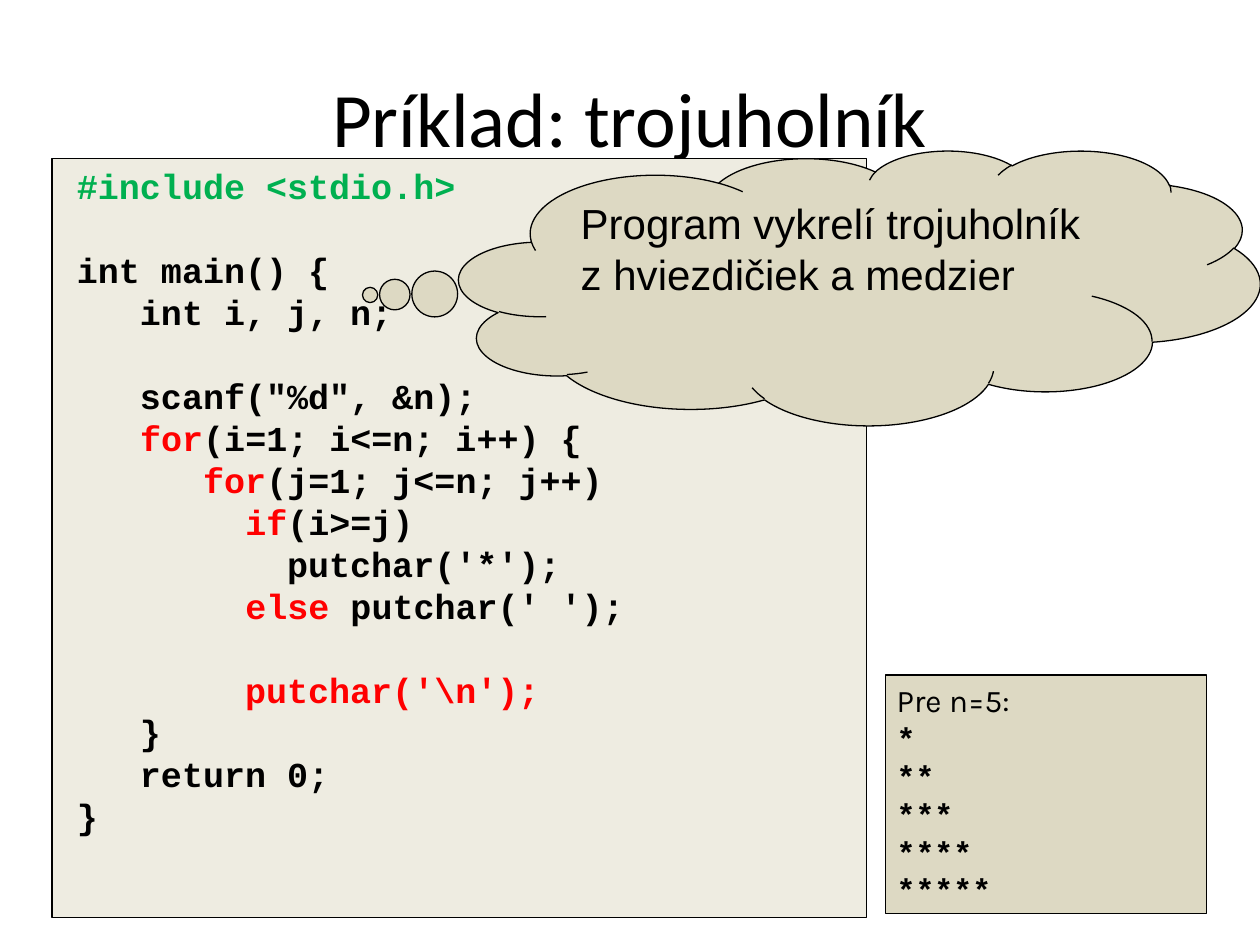
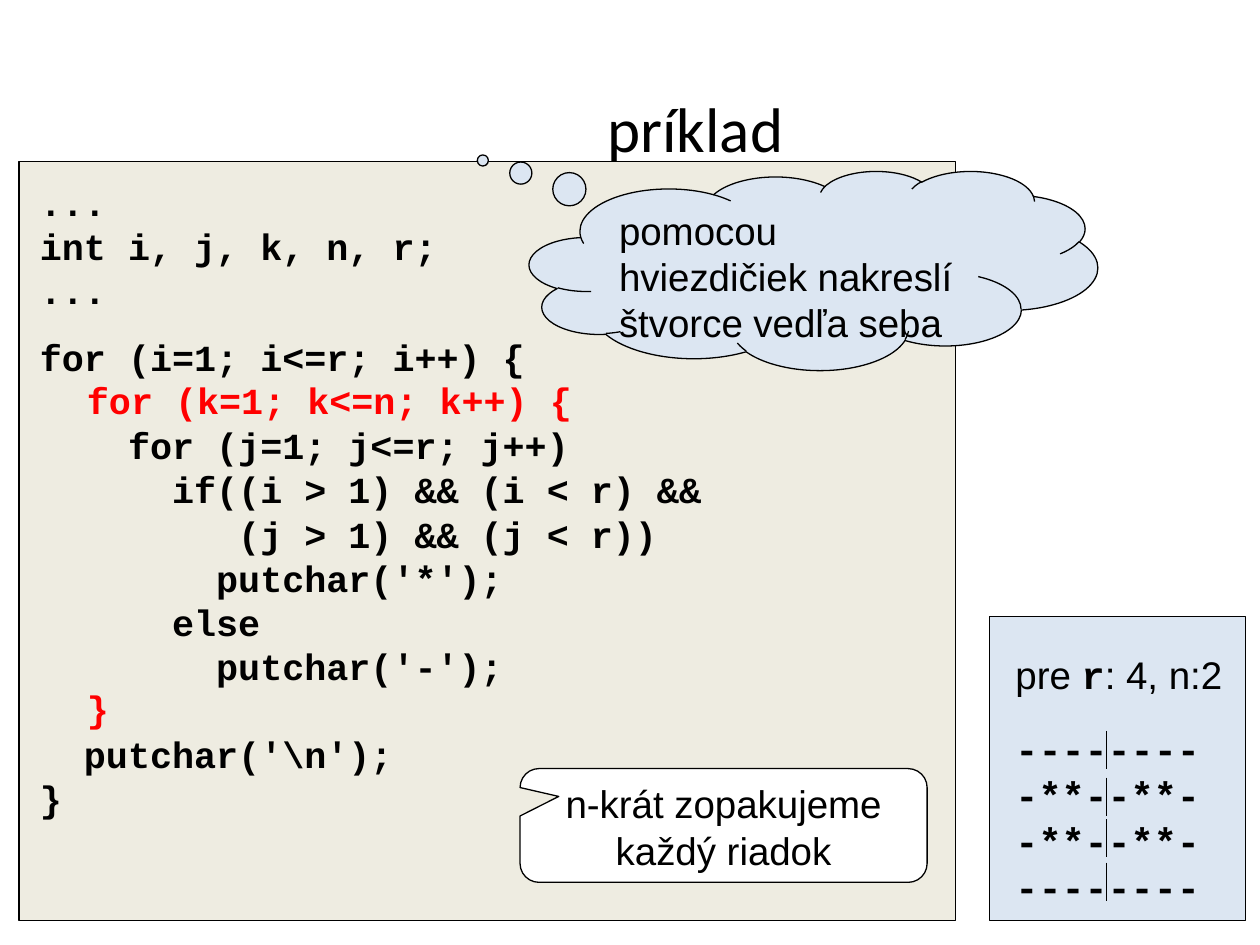
from dataclasses import dataclass

from lxml import etree
from pptx import Presentation
from pptx.dml.color import RGBColor
from pptx.enum.shapes import MSO_CONNECTOR, MSO_SHAPE
from pptx.enum.text import MSO_ANCHOR, MSO_AUTO_SIZE, PP_ALIGN
from pptx.oxml.ns import qn
from pptx.util import Pt

BLACK = RGBColor(0x00, 0x00, 0x00)
WHITE = RGBColor(0xFF, 0xFF, 0xFF)
RED = RGBColor(0xFF, 0x00, 0x00)
GREEN = RGBColor(0x00, 0xB0, 0x50)
CODE_FILL = RGBColor(0xEE, 0xEC, 0xE1)
SAND = RGBColor(0xDD, 0xD9, 0xC3)
LIGHT_BLUE = RGBColor(0xDC, 0xE6, 0xF2)

TITLE_FONT = "Calibri"
BODY_FONT = "Arial"
CODE_FONT = "Courier New"
SAMPLE_FONT = "Karla"
OUTLINE = Pt(0.75)
LINE_HEIGHT = 1.2  # code line height relative to the font size


@dataclass
class Style:
    font: str
    size: float
    colour: RGBColor = BLACK
    bold: bool = False


def code_style(size, colour=BLACK):
    return Style(CODE_FONT, size, colour, True)


def apply_font(font, style):
    font.name = style.font
    font.size = Pt(style.size)
    font.bold = style.bold
    font.color.rgb = style.colour


def write(frame, lines, style, alignment=PP_ALIGN.LEFT, gaps=None):
    """Each line is a string or a list of strings and (string, Style) pairs.

    gaps maps a line number to the space before that line."""
    for number, line in enumerate(lines):
        paragraph = frame.paragraphs[0] if number == 0 else frame.add_paragraph()
        paragraph.alignment = alignment
        paragraph.space_before = Pt((gaps or {}).get(number, 0))
        apply_font(paragraph.font, style)
        for piece in [line] if isinstance(line, str) else line:
            run = paragraph.add_run()
            if isinstance(piece, str):
                run.text = piece
            else:
                run.text, run_style = piece
                apply_font(run.font, run_style)


def prepare_frame(frame, wrap=True, side=6.5):
    frame.word_wrap = wrap
    frame.auto_size = MSO_AUTO_SIZE.NONE
    frame.vertical_anchor = MSO_ANCHOR.TOP
    frame.margin_left = frame.margin_right = Pt(side)
    frame.margin_top = frame.margin_bottom = Pt(3.6)
    return frame


def add_titled_slide(presentation, text, size, box):
    slide = presentation.slides.add_slide(presentation.slide_layouts[5])
    title = slide.shapes.title
    title.left, title.top, title.width, title.height = map(Pt, box)
    frame = title.text_frame
    frame.auto_size = MSO_AUTO_SIZE.NONE
    frame.vertical_anchor = MSO_ANCHOR.MIDDLE
    write(frame, [text], Style(TITLE_FONT, size), PP_ALIGN.CENTER)
    return slide


def add_panel(slide, box, fill, kind=MSO_SHAPE.RECTANGLE, adjustments=(),
              outlined=True):
    shape = slide.shapes.add_shape(kind, *map(Pt, box))
    shape.shadow.inherit = False
    shape.fill.solid()
    shape.fill.fore_color.rgb = fill
    if outlined:
        shape.line.color.rgb = BLACK
        shape.line.width = OUTLINE
    else:
        shape.line.fill.background()
    for number, value in enumerate(adjustments):
        shape.adjustments[number] = value
    return prepare_frame(shape.text_frame)


def add_text(slide, box, lines, style, gaps=None, wrap=True, side=6.5):
    shape = slide.shapes.add_textbox(*map(Pt, box))
    write(prepare_frame(shape.text_frame, wrap, side), lines, style, gaps=gaps)


def add_cloud(slide, box, fill, pointer, text, size):
    frame = add_panel(slide, box, fill, MSO_SHAPE.CLOUD_CALLOUT, pointer)
    write(frame, [text], Style(BODY_FONT, size), gaps={0: size / 4})


def add_divider(slide, left, top, height):
    line = slide.shapes.add_connector(
        MSO_CONNECTOR.STRAIGHT, Pt(left), Pt(top), Pt(left), Pt(top + height))
    line.line.color.rgb = BLACK
    line.line.width = OUTLINE
    etree.SubElement(line._element.spPr, qn("a:effectLst"))


def build_triangle_slide(presentation):
    slide = add_titled_slide(
        presentation, "Príklad: trojuholník", 44, (36, 21.6, 648, 90))

    # Sample output
    sample = add_panel(slide, (505.9, 385.8, 183.6, 136.1), SAND)
    starred = code_style(18)
    stars = [[("*" * count, starred)] for count in range(1, 6)]
    write(sample, ["Pre n=5:"] + stars, Style(SAMPLE_FONT, 18))

    # Code panel, with the cloud between it and the code
    add_panel(slide, (29.7, 90.7, 465.3, 433.6), CODE_FILL)
    add_cloud(slide, (262.3, 85.8, 457.7, 157), SAND, (-0.611, 0.027),
              "Program vykrelí trojuholník z hviezdičiek a medzier", 24)

    # Plain backgrounds of the nested code blocks
    for block in ((62.6, 280.8, 427, 184.3), (95, 326.9, 237.6, 28.1),
                  (127.4, 371.5, 297.4, 46.1), (95, 416.2, 180.7, 23)):
        add_panel(slide, block, CODE_FILL, outlined=False)

    # Program
    size = 20
    red = code_style(size, RED)
    code = [
        [("#include <stdio.h>", code_style(size, GREEN))],
        "int main() {",
        "   int i, j, n;",
        "   scanf(\"%d\", &n);",
        ["   ", ("for", red), "(i=1; i<=n; i++) {"],
        ["      ", ("for", red), "(j=1; j<=n; j++)"],
        ["        ", ("if", red), "(i>=j)"],
        "          putchar('*');",
        ["        ", ("else", red), " putchar(' ');"],
        [("        putchar('\\n');", red)],
        "   }",
        "   return 0;",
        "}",
    ]
    line_gap = size * LINE_HEIGHT
    add_text(slide, (36.9, 90.6, 436.3, 391.7), code, code_style(size),
             gaps={1: line_gap, 3: line_gap, 9: line_gap}, side=7.2)


def build_squares_slide(presentation):
    slide = add_titled_slide(
        presentation, "príklad", 36, (90.7, 48.8, 613.4, 47.5))

    # Program, leaving room for the highlighted loop
    size = 21
    line_gap = size * LINE_HEIGHT
    add_panel(slide, (10.8, 92.2, 535.2, 433.7), CODE_FILL)
    code = [
        "...",
        "int i, j, k, n, r;",
        "...",
        "for (i=1; i<=r; i++) {",
        "    for (j=1; j<=r; j++)",
        "      if((i > 1) && (i < r) &&",
        "         (j > 1) && (j < r))",
        "        putchar('*');",
        "      else",
        "        putchar('-');",
        "  putchar('\\n');",
        "}",
    ]
    add_text(slide, (16.3, 99.2, 396.7, 372.2), code, code_style(size),
             gaps={3: 13, 4: line_gap, 10: line_gap})

    add_cloud(slide, (302.5, 97.6, 324.7, 113.8), LIGHT_BLUE, (-0.582, -0.552),
              "pomocou hviezdičiek nakreslí štvorce vedľa seba", 22)

    # Sample output
    add_panel(slide, (565.4, 352.2, 146.2, 173.7), LIGHT_BLUE)
    label = Style(BODY_FONT, 22)
    output = code_style(22)
    edge, middle = "-" * 8, "-**-" * 2
    rows = [[(row, output)] for row in (edge, middle, middle, edge)]
    add_text(slide, (573.8, 368.6, 131, 154.1),
             [["pre ", ("r", output), ": 4, n:2"]] + rows, label,
             gaps={1: 15.6}, wrap=False)

    # Remark on the highlighted loop
    remark = add_panel(slide, (297.2, 439.2, 232.6, 65), WHITE,
                       MSO_SHAPE.ROUNDED_RECTANGULAR_CALLOUT,
                       (-0.405, -0.255, 0.167))
    write(remark, ["n-krát zopakujeme každý riadok"], label, PP_ALIGN.CENTER)

    # Highlighted loop around the inner six lines
    add_text(slide, (43.2, 212.1, 322.6, 208.1),
             ["for (k=1; k<=n; k++) {", "}"], code_style(size, RED),
             gaps={1: 6 * line_gap})

    # Dividers between the two squares, one for each row
    for top in (417.6, 444.4, 468.2, 493):
        add_divider(slide, 632.2, top, 21.8)


def main():
    presentation = Presentation()
    presentation.slide_width = Pt(720)
    presentation.slide_height = Pt(540)
    build_triangle_slide(presentation)
    build_squares_slide(presentation)
    presentation.save("out.pptx")


if __name__ == "__main__":
    main()
